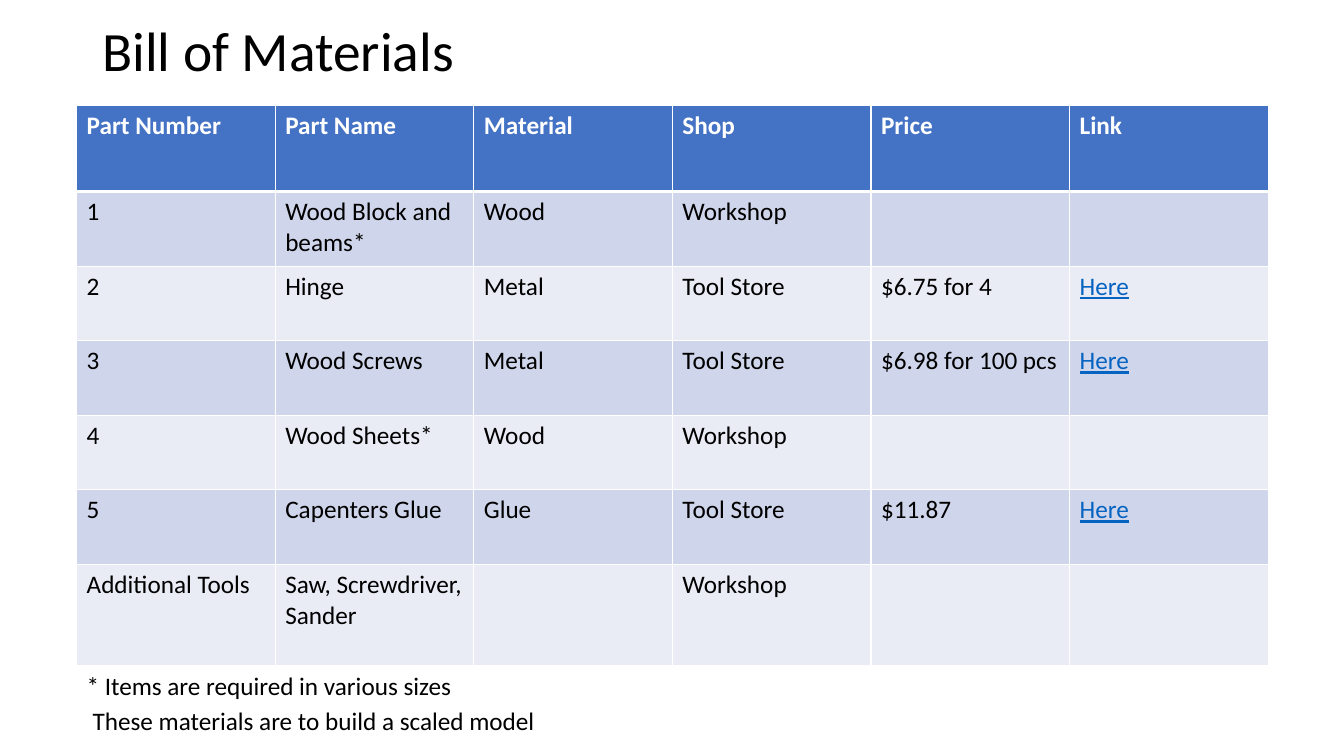
from lxml.etree import SubElement
from pptx import Presentation
from pptx.dml.color import RGBColor
from pptx.enum.text import MSO_ANCHOR
from pptx.oxml.ns import qn
from pptx.util import Inches, Pt

BLACK = RGBColor(0x00, 0x00, 0x00)
WHITE = RGBColor(0xFF, 0xFF, 0xFF)
HEADER_BLUE = RGBColor(0x44, 0x72, 0xC4)
BAND_DARK = RGBColor(0xCF, 0xD5, 0xEA)
BAND_LIGHT = RGBColor(0xE9, 0xEB, 0xF5)
LINK_BLUE = RGBColor(0x05, 0x63, 0xC1)

BODY = {"name": "Calibri", "size": Pt(18), "bold": False, "color": BLACK}
TITLE = BODY | {"size": Pt(39.6)}
HEADING = BODY | {"bold": True, "color": WHITE}
LINK = BODY | {"underline": True, "color": LINK_BLUE}

MATERIALS = [
    ["Part Number", "Part Name", "Material", "Shop", "Price", "Link"],
    ["1", "Wood Block and beams*", "Wood", "Workshop", "", ""],
    ["2", "Hinge", "Metal", "Tool Store", "$6.75 for 4", "Here"],
    ["3", "Wood Screws", "Metal", "Tool Store", "$6.98 for 100 pcs", "Here"],
    ["4", "Wood Sheets*", "Wood", "Workshop", "", ""],
    ["5", "Capenters Glue", "Glue", "Tool Store", "$11.87", "Here"],
    ["Additional Tools", "Saw, Screwdriver,\nSander", "", "Workshop", "", ""],
]
ROW_SPANS = [1.15, 1, 1, 1, 1, 1, 1.35]


class GridSlide:
    """A slide measured in table columns and rows from the table's corner."""

    LEFT, TOP = 0.76, 1.05
    COLUMN, ROW = 1.97, 0.74

    def __init__(self, deck):
        self.slide = deck.slides.add_slide(deck.slide_layouts[6])

    def frame(self, column, row, columns, rows):
        return (Inches(self.LEFT + column * self.COLUMN),
                Inches(self.TOP + row * self.ROW),
                Inches(columns * self.COLUMN), Inches(rows * self.ROW))

    def style(self, paragraph, formats):
        for name, value in formats.items():
            if name == "color":
                paragraph.font.color.rgb = value
            else:
                setattr(paragraph.font, name, value)

    def text(self, wording, place, formats, **layout):
        text_frame = self.slide.shapes.add_textbox(*self.frame(*place)).text_frame
        text_frame.word_wrap = True
        for name, value in layout.items():
            setattr(text_frame, name, value)
        paragraph = text_frame.paragraphs[0]
        paragraph.text = wording
        self.style(paragraph, formats)
        return paragraph

    def borders(self, cell, widths):
        properties = cell._tc.get_or_add_tcPr()
        for side, width in widths.items():
            line = SubElement(properties, qn(f"a:ln{side}"), w=str(Pt(width)))
            fill = SubElement(line, qn("a:solidFill"))
            SubElement(fill, qn("a:srgbClr"), val=str(WHITE))

    def table(self, rows, spans):
        place = self.frame(0, 0, len(rows[0]), sum(spans))
        table = self.slide.shapes.add_table(len(rows), len(rows[0]), *place).table
        for r, (entries, span) in enumerate(zip(rows, spans)):
            table.rows[r].height = Inches(span * self.ROW)
            band = HEADER_BLUE if r == 0 else BAND_DARK if r % 2 else BAND_LIGHT
            # The rule under the headings is thicker than the others
            widths = {"L": 1, "R": 1, "T": 3 if r == 1 else 1, "B": 3 if r == 0 else 1}
            for c, entry in enumerate(entries):
                cell = table.cell(r, c)
                cell.text = entry
                self.borders(cell, widths)
                cell.fill.solid()
                cell.fill.fore_color.rgb = band
                formats = HEADING if r == 0 else LINK if entry == "Here" else BODY
                for paragraph in cell.text_frame.paragraphs:
                    self.style(paragraph, formats)


def main():
    deck = Presentation()
    deck.slide_width, deck.slide_height = Inches(13.33), Inches(7.5)
    bill = GridSlide(deck)

    # Title
    title = bill.text("Bill of Materials", (0.08, -1.22, 5.84, 1.03), TITLE,
                      vertical_anchor=MSO_ANCHOR.MIDDLE)
    title.line_spacing = 0.9

    # Parts table
    bill.table(MATERIALS, ROW_SPANS)

    # Footnotes
    bill.text("* Items are required in various sizes", (0, 7.5, 3.29, 0.54), BODY)
    bill.text("These materials are to build a scaled model",
              (0.03, 7.97, 3.29, 0.54), BODY)

    deck.save("out.pptx")


if __name__ == "__main__":
    main()
